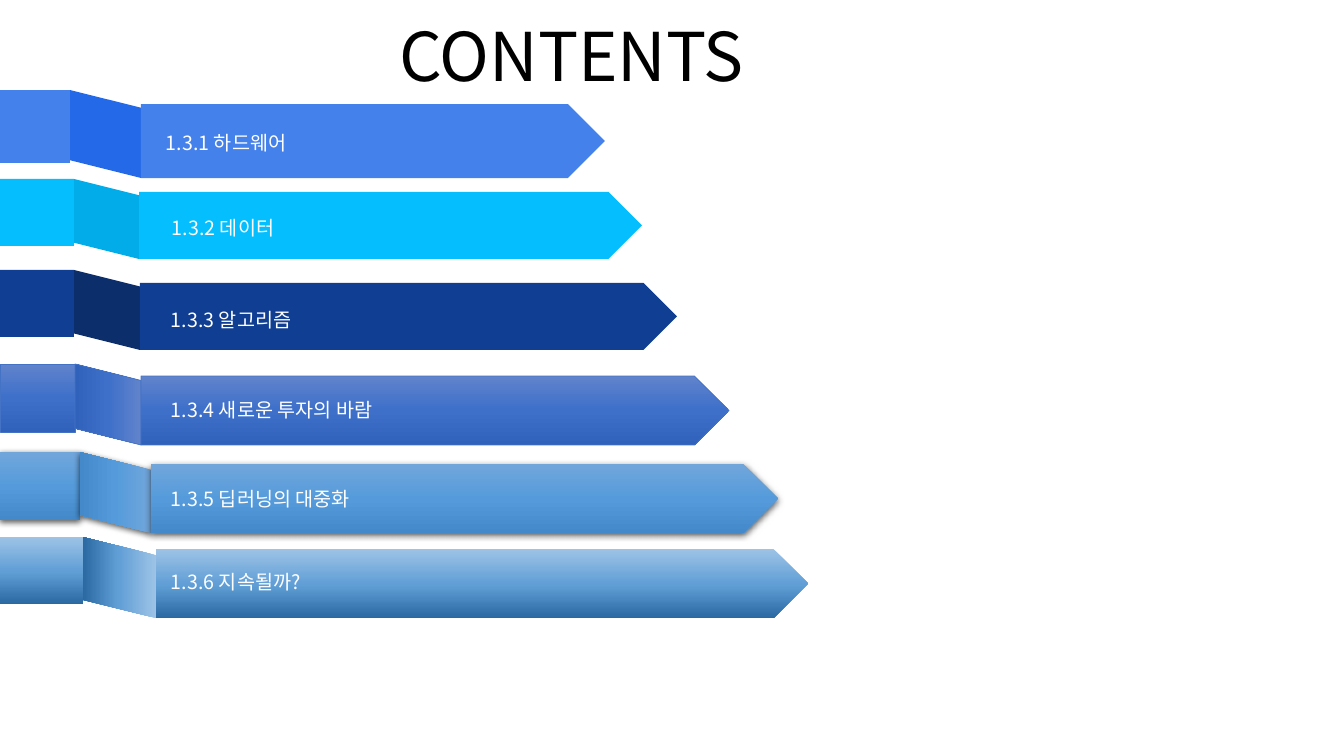
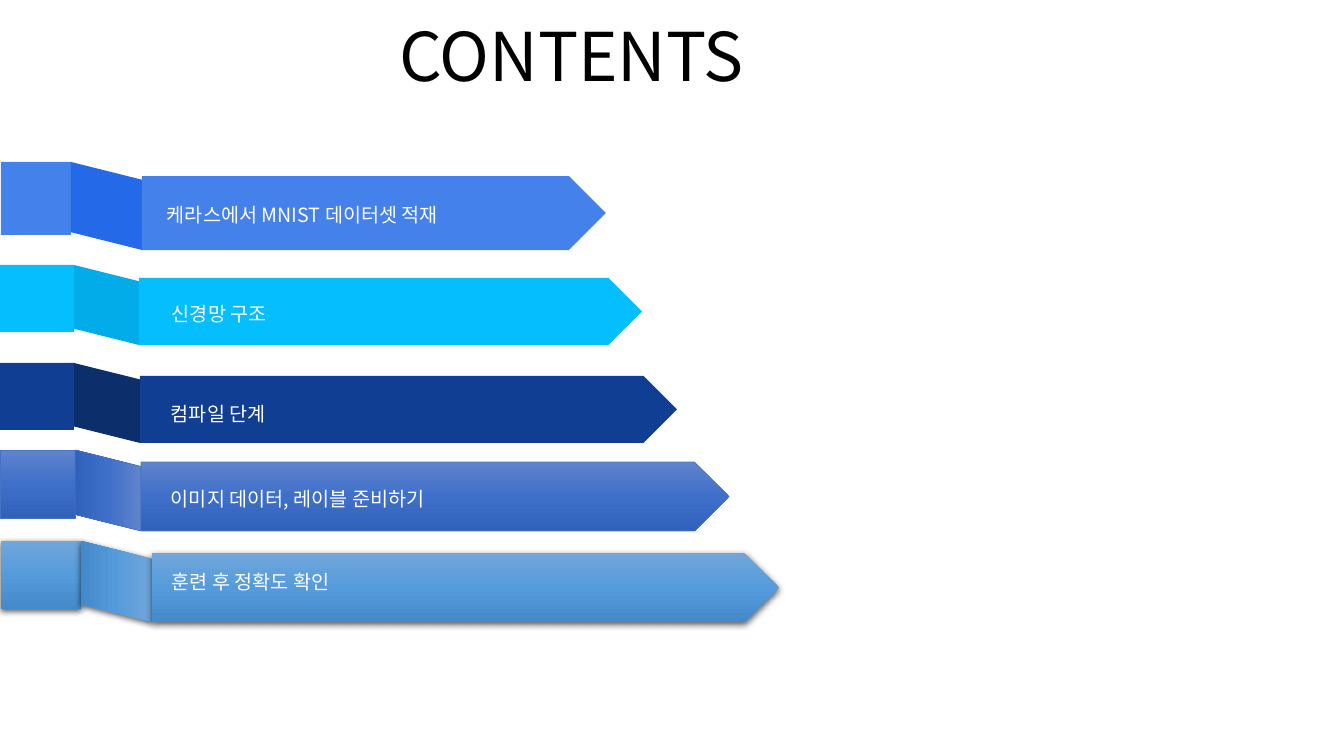
import copy
import lxml.etree
import pptx
import pptx.dml.color
import pptx.enum.shapes
import pptx.enum.text
import pptx.oxml.ns
import pptx.util

FONT = "Noto Sans CJK KR"
HEX = {
    "black": "000000", "white": "FFFFFF", "edge": "4472C4",
    "blue": "4481EB", "royal": "246AE8",
    "cyan": "04BEFE", "teal": "01ACE9",
    "navy": "103E92", "night": "0C2E6A",
}
FADE = {
    "cobalt": ((0, "6183CB"), (50, "3E70CA"), (100, "3062BB")),
    "azure": ((0, "71A6DB"), (50, "559BDB"), (100, "448ACA")),
    "steel": ((0, "9DC3E6"), (52, "609ED6"), (100, "2A69A2")),
}

TITLE = ("CONTENTS", (139, 9, 865, 92))
LABEL = (341, 34)

BANDS = [
    {"face": "blue", "fold": "royal", "tab": (70, 73), "arrow": (141, 14, 464, 74), "text": 156},
    {"face": "cyan", "fold": "teal", "tab": (74, 67), "arrow": (139, 13, 503, 67), "text": 162},
    {"face": "navy", "fold": "night", "tab": (74, 67), "arrow": (140, 13, 537, 67), "text": 161},
    {"face": "cobalt", "fold": "cobalt", "tab": (75, 68), "arrow": (141, 12, 588, 69),
     "text": 161, "edge": True},
    {"face": "azure", "fold": "azure", "tab": (80, 68), "arrow": (151, 12, 627, 69),
     "text": 161, "shade": True},
    {"face": "steel", "fold": "steel", "tab": (83, 67), "arrow": (156, 12, 652, 69), "text": 161},
]

SLIDES = [
    [
        (0, 90, 126, "1.3.1 하드웨어"),
        (0, 179, 211, "1.3.2 데이터"),
        (0, 270, 303, "1.3.3 알고리즘"),
        (0, 364, 393, "1.3.4 새로운 투자의 바람"),
        (0, 452, 482, "1.3.5 딥러닝의 대중화"),
        (0, 537, 565, "1.3.6 지속될까?"),
    ],
    [
        (1, 162, 198, "케라스에서 MNIST 데이터셋 적재"),
        (0, 265, 297, "신경망 구조"),
        (0, 363, 397, "컴파일 단계"),
        (0, 450, 482, "이미지 데이터, 레이블 준비하기"),
        (1, 541, 565, "훈련 후 정확도 확인"),
    ],
]

KIND = pptx.enum.shapes.MSO_SHAPE
ALIGN = pptx.enum.text.PP_ALIGN
qn = pptx.oxml.ns.qn


def px(*nums):
    return [pptx.util.Emu(round(n * 914400 / 100.8)) for n in nums]


def tint(code):
    return pptx.dml.color.RGBColor.from_string(code)


def paint(fill, name):
    if name in HEX:
        fill.solid()
        fill.fore_color.rgb = tint(HEX[name])
        return
    fill.gradient()
    fill.gradient_angle = 270
    first = fill.gradient_stops[0]._gs
    first.addnext(copy.deepcopy(first))
    for stop, (place, code) in zip(fill.gradient_stops, FADE[name]):
        stop.position = place / 100
        stop.color.rgb = tint(code)


def shade(shape):
    effect = shape._element.spPr.find(qn("a:effectLst"))
    outer = lxml.etree.SubElement(effect, qn("a:outerShdw"), blurRad="57150", dist="19050",
                                  dir="5400000", algn="ctr", rotWithShape="0")
    color = lxml.etree.SubElement(outer, qn("a:srgbClr"), val=HEX["black"])
    lxml.etree.SubElement(color, qn("a:alpha"), val="63000")


def write(shape, text, size, color, align):
    frame = shape.text_frame
    frame.text = text
    frame.word_wrap = True
    frame.auto_size = pptx.enum.text.MSO_AUTO_SIZE.SHAPE_TO_FIT_TEXT
    frame.vertical_anchor = pptx.enum.text.MSO_ANCHOR.TOP
    para = frame.paragraphs[0]
    para.alignment = align
    para.font.size = pptx.util.Pt(size)
    para.font.name = FONT
    para.font.color.rgb = tint(HEX[color])
    props = para._p.pPr.find(qn("a:defRPr"))
    lxml.etree.SubElement(props, qn("a:ea"), typeface=FONT)


def draw(group, kind, box, name, band):
    shape = group.shapes.add_shape(kind, *px(*box))
    shape.shadow.inherit = False
    paint(shape.fill, name)
    if band.get("edge"):
        shape.line.color.rgb = tint(HEX["edge"])
        shape.line.width = pptx.util.Pt(0.5)
    else:
        shape.line.fill.background()
    if band.get("shade"):
        shade(shape)
    return shape


def ribbon(slide, band, row):
    left, top, base, text = row
    wide, high = band["tab"]
    start, drop, length, thick = band["arrow"]
    span, rise = start - wide, drop + thick
    mid_x, mid_y = left + wide + span / 2, top + rise / 2
    group = slide.shapes.add_group_shape()
    draw(group, KIND.RECTANGLE, (left, top, wide, high), band["face"], band)
    fold = draw(group, KIND.PARALLELOGRAM,
                (mid_x - rise / 2, mid_y - span / 2, rise, span), band["fold"], band)
    fold.rotation = 90
    draw(group, KIND.PENTAGON, (left + start, top + drop, length, thick), band["face"], band)
    label = group.shapes.add_textbox(*px(left + band["text"], base, *LABEL))
    write(label, text, 14, "white", ALIGN.LEFT)


deck = pptx.Presentation()
deck.slide_width, deck.slide_height = px(1344, 756)
for rows in SLIDES:
    slide = deck.slides.add_slide(deck.slide_layouts[5])
    title = slide.shapes.title
    title.left, title.top, title.width, title.height = px(*TITLE[1])
    write(title, TITLE[0], 48, "black", ALIGN.CENTER)
    for band, row in zip(BANDS, rows):
        ribbon(slide, band, row)
deck.save("out.pptx")
